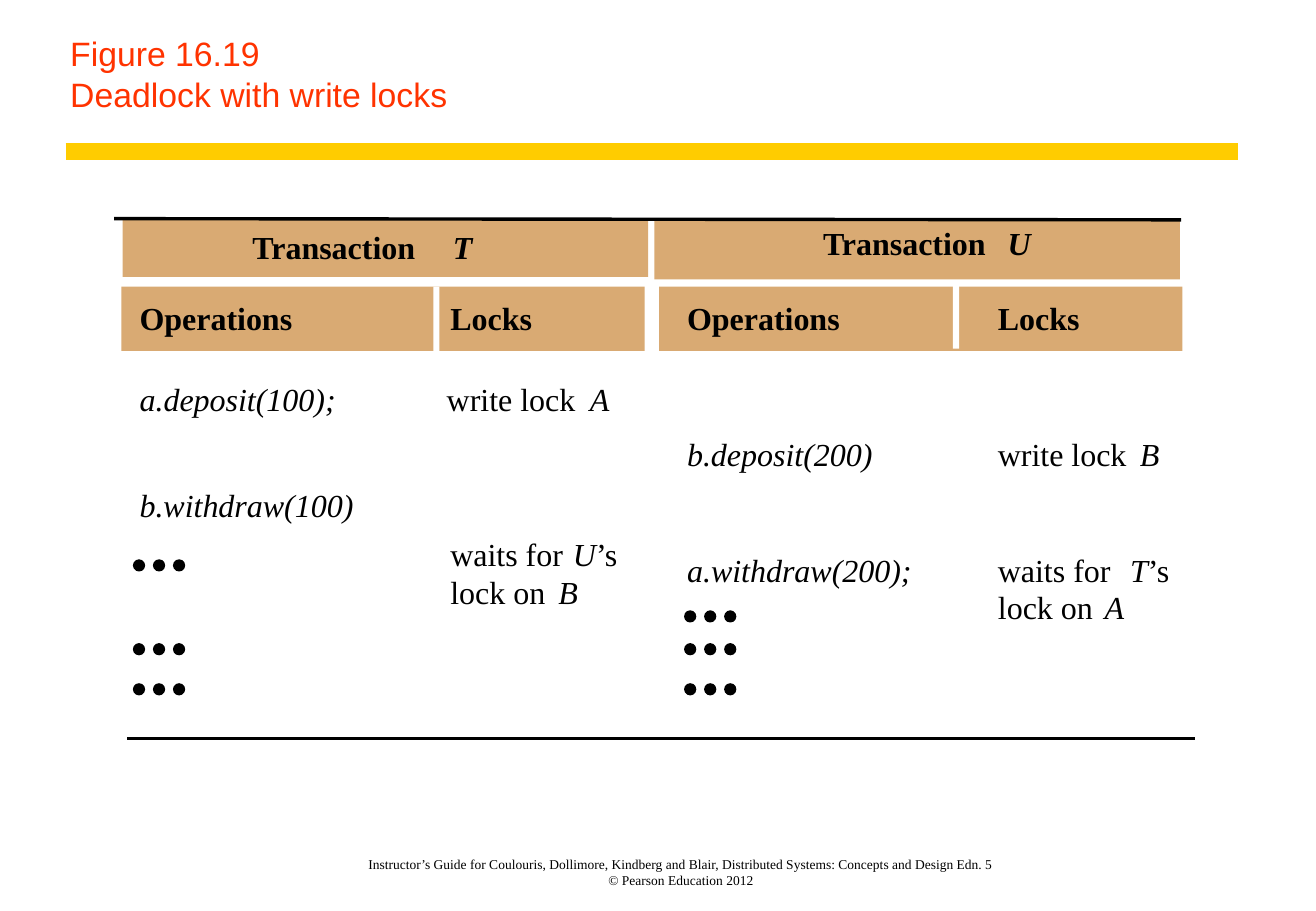
from dataclasses import dataclass
from itertools import product

from lxml import etree
from pptx import Presentation, util as u
from pptx.dml.color import RGBColor
from pptx.enum import shapes, text
from pptx.oxml.ns import qn

# Grid cells are a tenth of an inch
COLS, ROWS, CELL = 108.4, 75, 0.1
HUES = {"ink": "000000", "gold": "FFCC00", "tan": "D9AA73",
        "white": "FFFFFF", "red": "FF3300"}
KINDS = shapes.MSO_SHAPE
ALIGN = text.PP_ALIGN


@dataclass
class Block:
    col: float
    row: float
    wide: float
    high: float
    hue: str = "tan"


@dataclass
class Rule:
    left: float
    top: float
    right: float
    end: float
    size: float
    hue: str = "ink"


@dataclass
class Label:
    """Words between asterisks are italic."""
    col: float
    row: float
    wide: float
    words: str
    bold: bool = False


@dataclass
class Note:
    col: float
    row: float
    wide: float
    high: float
    lines: tuple
    size: float
    face: str
    hue: str
    align: ALIGN
    pads: tuple


def cell(count: float) -> int:
    return u.Inches(count * CELL)


def tint(name: str) -> RGBColor:
    return RGBColor.from_string(HUES[name])


def apply(item, form: dict) -> None:
    for key, value in form.items():
        setattr(item, key, value)


def draw_block(slide, block: Block, kind=KINDS.RECTANGLE):
    box = slide.shapes.add_shape(kind, cell(block.col), cell(block.row),
                                 cell(block.wide), cell(block.high))
    box.shadow.inherit = False
    box.fill.solid()
    box.fill.fore_color.rgb = tint(block.hue)
    box.line.fill.background()
    return box


def draw_dot(slide, col: float, row: float) -> None:
    dot = draw_block(slide, Block(col, row, 0.9, 0.9, "ink"), KINDS.OVAL)
    dot.line.color.rgb = tint("ink")
    dot.line.width = u.Pt(0.75)


def draw_rule(slide, rule: Rule) -> None:
    line = slide.shapes.add_connector(
        shapes.MSO_CONNECTOR.STRAIGHT, cell(rule.left), cell(rule.top),
        cell(rule.right), cell(rule.end))
    line.line.color.rgb = tint(rule.hue)
    line.line.width = u.Pt(rule.size)
    etree.SubElement(line._element.spPr, qn("a:effectLst"))


def add_box(slide, col: float, row: float, wide: float, high: float,
            form: dict, pads: tuple = (0, 0, 0, 0)):
    box = slide.shapes.add_textbox(cell(col), cell(row), cell(wide), cell(high))
    sides = ("margin_left", "margin_top", "margin_right", "margin_bottom")
    apply(box.text_frame, form | dict(zip(sides, map(cell, pads))))
    return box.text_frame.paragraphs[0]


def add_run(para, words: str, size: float, face: str, hue: str,
            **form) -> None:
    run = para.add_run()
    run.text = words
    apply(run.font, {"size": u.Pt(size), "name": face, **form})
    run.font.color.rgb = tint(hue)


def draw_label(slide, label: Label) -> None:
    form = {"word_wrap": True, "auto_size": text.MSO_AUTO_SIZE.NONE}
    para = add_box(slide, label.col, label.row, label.wide + SLACK, 3.2, form)
    for spot, part in enumerate(label.words.split("*")):
        if part:
            add_run(para, part, 19, "Times New Roman", "ink",
                    bold=label.bold, italic=spot % 2 == 1)


def draw_note(slide, note: Note) -> None:
    form = {"word_wrap": True, "vertical_anchor": text.MSO_ANCHOR.BOTTOM}
    para = add_box(slide, note.col, note.row, note.wide, note.high, form,
                   note.pads)
    para.alignment = note.align
    for spot, line in enumerate(note.lines):
        if spot:
            para.add_line_break()
        add_run(para, line, note.size, note.face, note.hue)


# Left edges of the four table columns, and room to spare after a label
T_OPS, T_LOCKS, U_OPS, U_LOCKS = 11.5, 37.1, 56.6, 82.2
SLACK = 1

NOTES = [
    Note(4.8, 0, 97.2, 10, ("Figure 16.19", "Deadlock with write locks"),
         20, "Arial", "red", ALIGN.LEFT, (1, 0.6, 1.4, 0.6)),
    Note(23.1, 69.2, 66, 3.9,
         ("Instructor’s Guide for Coulouris, Dollimore, Kindberg and Blair, "
          "Distributed Systems: Concepts and Design Edn. 5",
          "© Pearson Education 2012"),
         8, "Times New Roman", "ink", ALIGN.CENTER, (0.4, 0, 0.4, 0)),
]
BLOCKS = [
    Block(10.1, 18, 43.3, 4.8), Block(53.9, 18.2, 43.3, 4.8),
    Block(10, 23.6, 43.1, 5.3), Block(54.3, 23.6, 43.1, 5.3),
    Block(35.7, 23.6, 0.5, 5.3, "white"), Block(78.5, 23.4, 0.5, 5.3, "white"),
]
RULES = [
    Rule(5.4, 12.5, 102, 12.5, 10, "gold"),
    Rule(9.4, 18, 97.3, 18.1, 2),
    Rule(10.5, 60.8, 98.4, 60.8, 2),
]
HEADS = [
    Label(20.8, 18.7, 14.3, "Transaction", True),
    Label(37.3, 18.7, 1.6, "*T*", True),
    Label(67.8, 18.4, 14.3, "Transaction", True),
    Label(83, 18.4, 1.9, "*U*", True),
    *(Label(col, 24.6, 12.6, "Operations", True) for col in (T_OPS, U_OPS)),
    *(Label(col, 24.6, 6.7, "Locks", True) for col in (T_LOCKS, U_LOCKS)),
]
STEPS = [
    Label(T_OPS, 31.2, 16.2, "*a.deposit(100);*"),
    Label(36.8, 31.2, 11.3, "write lock"),
    Label(48.6, 31.2, 1.6, "*A*"),
    Label(U_OPS, 35.8, 15.3, "*b.deposit(200)*"),
    Label(U_LOCKS, 35.8, 11.3, "write lock"),
    Label(93.9, 35.8, 1.6, "*B*"),
    Label(T_OPS, 40, 17.6, "*b.withdraw(100)*"),
    Label(T_LOCKS, 44, 10, "waits for"),
    Label(47.2, 44, 3.7, "*U*’s"),
    Label(T_LOCKS, 47.1, 8.5, "lock on"),
    Label(46, 47.1, 1.6, "*B*"),
    Label(U_OPS, 45.3, 18.5, "*a.withdraw(200);*"),
    Label(U_LOCKS, 45.3, 10.6, "waits for"),
    Label(93.1, 45.3, 3.4, "*T*’s"),
    Label(U_LOCKS, 48.4, 8.5, "lock on"),
    Label(91, 48.4, 1.6, "*A*"),
]
# Rows of three dots, by left edge
DOTS = {11: (46.1, 53, 56.3), 56.4: (50.3, 53, 56.3)}
STEP = 1.65


def main() -> None:
    deck = Presentation()
    apply(deck, {"slide_width": cell(COLS), "slide_height": cell(ROWS)})
    slide = deck.slides.add_slide(deck.slide_layouts[6])

    # Title and footer
    for note in NOTES:
        draw_note(slide, note)

    # Table bands and rules
    for block in BLOCKS:
        draw_block(slide, block)
    for rule in RULES:
        draw_rule(slide, rule)

    # Table text
    for label in HEADS + STEPS:
        draw_label(slide, label)

    # Ellipses
    for col, rows in DOTS.items():
        for row, spot in product(rows, range(3)):
            draw_dot(slide, col + spot * STEP, row)

    deck.save("out.pptx")


if __name__ == "__main__":
    main()
